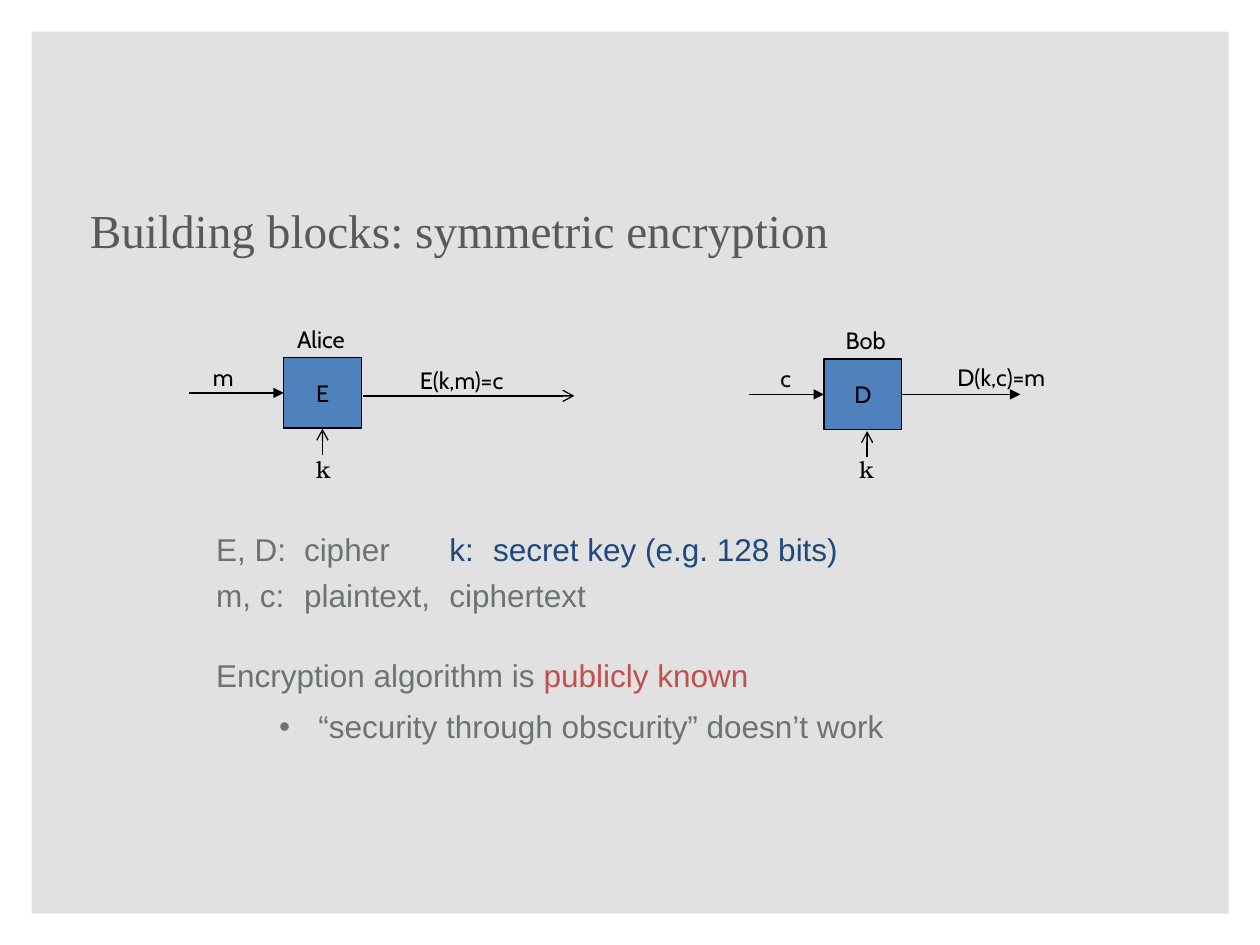
from typing import NamedTuple

from lxml.etree import SubElement
from pptx import Presentation
from pptx.dml.color import RGBColor
from pptx.enum.shapes import MSO_CONNECTOR as Conn, MSO_SHAPE as Shape
from pptx.enum.text import MSO_ANCHOR as Anchor, MSO_AUTO_SIZE as AutoSize, PP_ALIGN as Align
from pptx.oxml.ns import qn
from pptx.util import Cm, Pt

COLORS = {
    "panel": "E1E1E1", "block": "4F81BD", "black": "000000", "title": "595959",
    "body": "6C7373", "key": "1F497D", "accent": "C0504D",
}
LABEL_HEIGHT = 0.84
BLOCK_WIDTH, BLOCK_HEIGHT = 1.57, 1.42
TAB_STOPS = (1.77, 4.7, 5.58)


class Label(NamedTuple):
    text: str
    left: float
    top: float
    width: float
    font: str = "Cabin"
    align: Align = Align.CENTER


class Block(NamedTuple):
    text: str
    left: float
    top: float


class Arrow(NamedTuple):
    x1: float
    y1: float
    x2: float
    y2: float
    head: str = "triangle"


class Line(NamedTuple):
    runs: tuple
    space: float = 0
    bullet: bool = False


LABELS = [
    Label("Alice", 5.72, 6.43, 1.5),
    Label("m", 4.04, 7.19, 0.91),
    Label("E(k,m)=c", 8.05, 7.26, 2.51),
    Label("Bob", 16.79, 6.45, 1.32),
    Label("c", 15.47, 7.21, 0.74),
    Label("D(k,c)=m", 18.9, 7.19, 2.57),
    Label("k", 6.12, 9.04, 0.76, "TeX Gyre Bonum", Align.LEFT),
    Label("k", 17.07, 9.04, 0.76, "TeX Gyre Bonum", Align.LEFT),
]
BLOCKS = [Block("E", 5.72, 7.21), Block("D", 16.61, 7.24)]
ARROWS = [
    Arrow(3.81, 7.92, 5.72, 7.92),
    Arrow(7.32, 7.98, 11.58, 7.98, "arrow"),
    Arrow(15.09, 7.95, 16.61, 7.95),
    Arrow(18.19, 7.95, 20.57, 7.95),
    Arrow(6.5, 9.17, 6.5, 8.64, "arrow"),
    Arrow(17.48, 9.22, 17.48, 8.69, "arrow"),
]
LINES = [
    Line((("E, D:\tcipher\t", "body"), ("k:\tsecret key (e.g. 128 bits)", "key"))),
    Line((("m, c:\tplaintext,\tciphertext", "body"),), 4.4),
    Line((("Encryption algorithm is ", "body"), ("publicly known", "accent")), 23.9),
    Line((("“security through obscurity” doesn’t work", "body"),), 7.9, True),
]


def rgb(name: str) -> RGBColor:
    return RGBColor.from_string(COLORS[name])


def style(r, font: str, size: float, color: str) -> None:
    r.font.name = font
    r.font.size = Pt(size)
    r.font.color.rgb = rgb(color)


def set_text(tf, text: str, font: str, size: float, color: str, align: Align) -> None:
    tf.text = text
    p = tf.paragraphs[0]
    p.alignment = align
    style(p.runs[0], font, size, color)


def add_panel(s) -> None:
    sp = s.shapes.add_shape(Shape.RECTANGLE, Cm(0.64), Cm(0.64), Cm(24.13), Cm(17.78))
    sp.shadow.inherit = False
    sp.fill.solid()
    sp.fill.fore_color.rgb = rgb("panel")
    sp.line.fill.background()
    s.shapes.element.insert(2, sp.element)


def add_title(s) -> None:
    sp = s.shapes.title
    sp.left, sp.top, sp.width, sp.height = Cm(1.63), Cm(3.61), Cm(20.09), Cm(2.03)
    tf = sp.text_frame
    set_text(tf, "Building blocks: symmetric encryption", "Times New Roman", 27, "title", Align.LEFT)
    tf.vertical_anchor = Anchor.MIDDLE
    tf.margin_left = tf.margin_right = Cm(0.18)
    tf.margin_top = tf.margin_bottom = Cm(0.1)


def add_label(s, label: Label) -> None:
    sp = s.shapes.add_textbox(Cm(label.left), Cm(label.top), Cm(label.width), Cm(LABEL_HEIGHT))
    tf = sp.text_frame
    tf.word_wrap = False
    tf.auto_size = AutoSize.SHAPE_TO_FIT_TEXT
    set_text(tf, label.text, label.font, 13.5, "black", label.align)


def add_block(s, block: Block) -> None:
    sp = s.shapes.add_shape(Shape.RECTANGLE, Cm(block.left), Cm(block.top),
                            Cm(BLOCK_WIDTH), Cm(BLOCK_HEIGHT))
    sp.shadow.inherit = False
    sp.fill.solid()
    sp.fill.fore_color.rgb = rgb("block")
    sp.line.color.rgb = rgb("black")
    sp.line.width = Pt(0.75)
    tf = sp.text_frame
    tf.word_wrap = False
    tf.vertical_anchor = Anchor.MIDDLE
    set_text(tf, block.text, "Cabin", 13.5, "black", Align.CENTER)


def add_arrow(s, arrow: Arrow) -> None:
    sp = s.shapes.add_connector(Conn.STRAIGHT, Cm(arrow.x1), Cm(arrow.y1), Cm(arrow.x2), Cm(arrow.y2))
    sp.line.color.rgb = rgb("black")
    sp.line.width = Pt(0.75)
    SubElement(sp.line._get_or_add_ln(), qn("a:tailEnd"), type=arrow.head)
    SubElement(sp.element.spPr, qn("a:effectLst"))


def add_body(s) -> None:
    sp = s.shapes.add_textbox(Cm(4.11), Cm(10.57), Cm(17.04), Cm(4.4))
    tf = sp.text_frame
    tf.word_wrap = True
    for i, line in enumerate(LINES):
        p = tf.add_paragraph() if i else tf.paragraphs[0]
        pPr = p._p.get_or_add_pPr()
        if line.bullet:
            pPr.set("marL", str(Cm(2.06)))
            pPr.set("indent", str(Cm(-0.79)))
            SubElement(pPr, qn("a:buFont"), typeface="Arial")
            SubElement(pPr, qn("a:buChar"), char="•")
        elif "\t" in line.runs[0][0]:
            tabs = SubElement(pPr, qn("a:tabLst"))
            for stop in TAB_STOPS:
                SubElement(tabs, qn("a:tab"), pos=str(Cm(stop)), algn="l")
        if line.space:
            p.space_before = Pt(line.space)
        for text, color in line.runs:
            r = p.add_run()
            r.text = text
            style(r, "Arial", 18, color)


def main() -> None:
    prs = Presentation()
    prs.slide_width, prs.slide_height = Cm(25.4), Cm(19.05)
    s = prs.slides.add_slide(prs.slide_layouts[5])
    add_panel(s)
    add_title(s)
    add_body(s)
    for block in BLOCKS:
        add_block(s, block)
    for arrow in ARROWS:
        add_arrow(s, arrow)
    for label in LABELS:
        add_label(s, label)
    prs.save("out.pptx")


if __name__ == "__main__":
    main()
